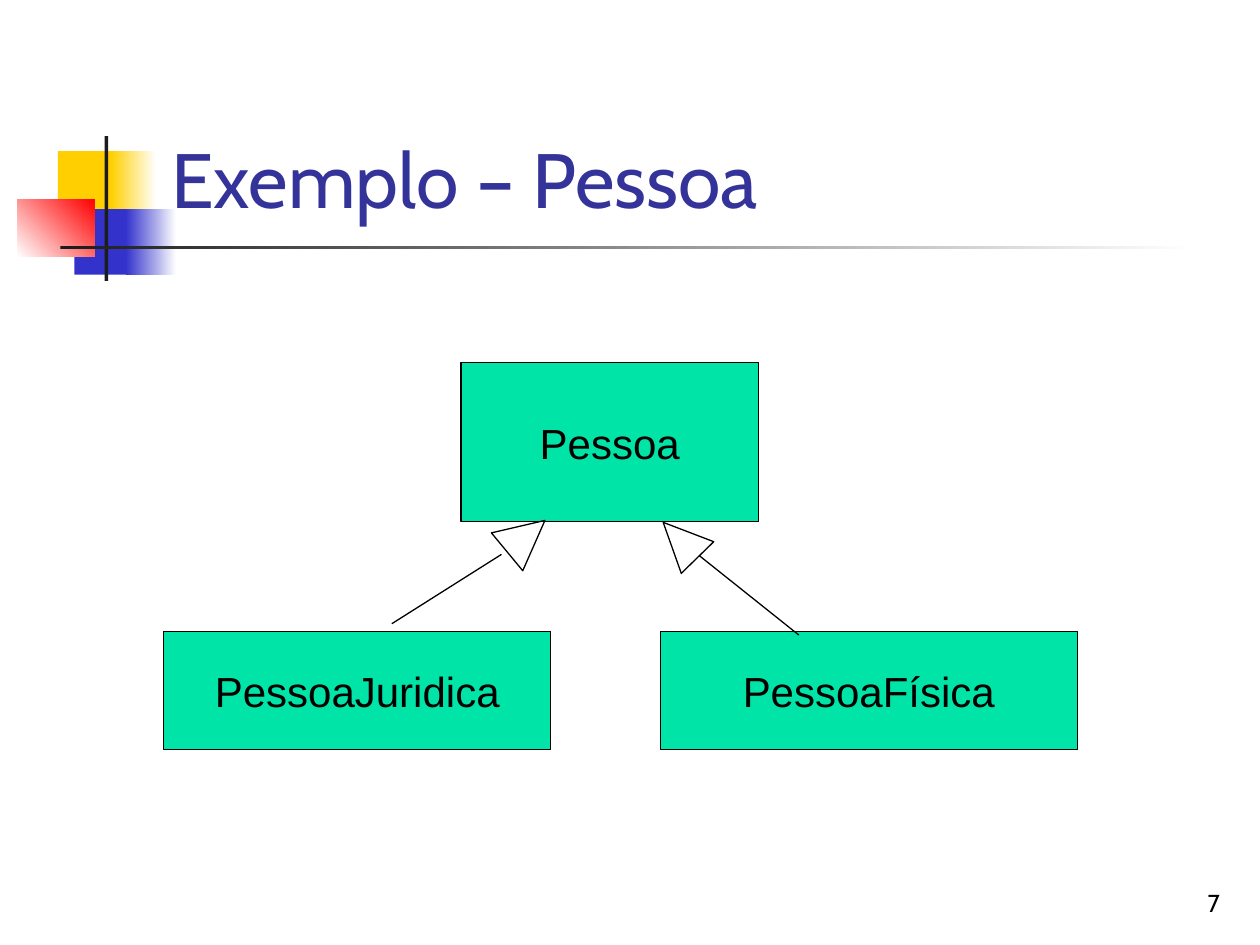
"""Build a class diagram slide in which two classes inherit from Pessoa."""
from pptx import Presentation
from pptx.dml.color import RGBColor
from pptx.enum.shapes import MSO_CONNECTOR, MSO_SHAPE
from pptx.enum.text import MSO_ANCHOR, PP_ALIGN
from pptx.oxml.ns import qn
from pptx.util import Inches, Pt

RECT, TRIANGLE = MSO_SHAPE.RECTANGLE, MSO_SHAPE.ISOSCELES_TRIANGLE
STRAIGHT = MSO_CONNECTOR.STRAIGHT
LEFT, CENTER, RIGHT = PP_ALIGN.LEFT, PP_ALIGN.CENTER, PP_ALIGN.RIGHT
BOTTOM, MIDDLE = MSO_ANCHOR.BOTTOM, MSO_ANCHOR.MIDDLE

BLACK, WHITE, GREEN = "000000", "FFFFFF", "00E4A8"
GOLD, BLUE, RED, DARK = "FFCF01", "3333CC", "FF0000", "1C1C1C"

DECOR = [
    ((0.46, 1.2, 0.48, 0.52), [GOLD], 0),
    ((0.88, 1.2, 0.36, 0.52), [GOLD, WHITE], 0),
    ((0.59, 1.66, 0.46, 0.52), [BLUE], 0),
    ((1, 1.66, 0.4, 0.52), [BLUE, WHITE], 0),
    ((0.14, 1.58, 0.61, 0.46), [WHITE, RED], 45),
    ((0.83, 1.08, 0.03, 1.15), [DARK], 0),
    ((0.48, 1.95, 9, 0.03), [DARK, WHITE], 0),
]
LABELS = [
    ("7", (7.7, 6.83, 2.08, 0.5), 14, BLACK, RIGHT),
    ("Exemplo – Pessoa", (1.26, 0.23, 8.52, 1.6), 44, "333399", LEFT),
]
CLASSES = [
    ("Pessoa", (3.66, 2.88, 2.36, 1.26)),
    ("PessoaJuridica", (1.3, 5.01, 3.07, 0.94)),
    ("PessoaFísica", (5.24, 5.01, 3.31, 0.94)),
]
LINKS = [
    ((3.98, 4.4, 3.11, 4.95), (3.98, 4.06, 0.39, 0.39), 50.4),
    ((5.55, 4.41, 6.34, 5.04), (5.22, 4.09, 0.36, 0.39), 315.7),
]


def color(code):
    """Turn a hex string into a colour."""
    return RGBColor.from_string(code)


def inches(box):
    """Turn numbers into lengths."""
    return [Inches(n) for n in box]


def outline(shape):
    """Give a shape or connector the thin black line."""
    shape.line.color.rgb = color(BLACK)
    shape.line.width = Pt(0.75)


def write(shape, text, font, size, code, align, anchor, wrap):
    """Put one formatted paragraph into a shape."""
    frame = shape.text_frame
    frame.text = text
    frame.word_wrap = wrap
    frame.vertical_anchor = anchor
    para = frame.paragraphs[0]
    para.alignment = align
    face = para.runs[0].font
    face.name, face.size = font, Pt(size)
    face.color.rgb = color(code)


def block(slide, kind, box, fills=(), angle=0):
    """Add a shape with no fill, one colour or a two-colour gradient."""
    shape = slide.shapes.add_shape(kind, *inches(box))
    shape.shadow.inherit = False
    shape.line.fill.background()
    if len(fills) == 2:
        shape.fill.gradient()
        shape.fill.gradient_angle = angle
        for stop, code in zip(shape.fill.gradient_stops, fills):
            stop.color.rgb = color(code)
    elif fills:
        shape.fill.solid()
        shape.fill.fore_color.rgb = color(fills[0])
    else:
        shape.fill.background()
    return shape


def link(slide, ends, tip, turn):
    """Add an inheritance line with its hollow triangle."""
    line = slide.shapes.add_connector(STRAIGHT, *inches(ends))
    props = line.element.find(qn("p:spPr"))
    outline(line)
    props.append(props.makeelement(qn("a:effectLst"), {}))
    head = block(slide, TRIANGLE, tip)
    head.rotation = turn
    outline(head)


def main():
    """Build and save the slide."""
    deck = Presentation()
    deck.slide_width, deck.slide_height = Inches(10), Inches(7.5)
    slide = deck.slides.add_slide(deck.slide_layouts[6])
    for box, fills, angle in DECOR:
        block(slide, RECT, box, fills, angle)
    for text, box, size, code, align in LABELS:
        label = slide.shapes.add_textbox(*inches(box))
        write(label, text, "Cabin", size, code, align, BOTTOM, True)
    for name, box in CLASSES:
        shape = block(slide, RECT, box, [GREEN])
        outline(shape)
        write(shape, name, "Arial", 24, BLACK, CENTER, MIDDLE, False)
    for ends, tip, turn in LINKS:
        link(slide, ends, tip, turn)
    deck.save("out.pptx")


if __name__ == "__main__":
    main()
